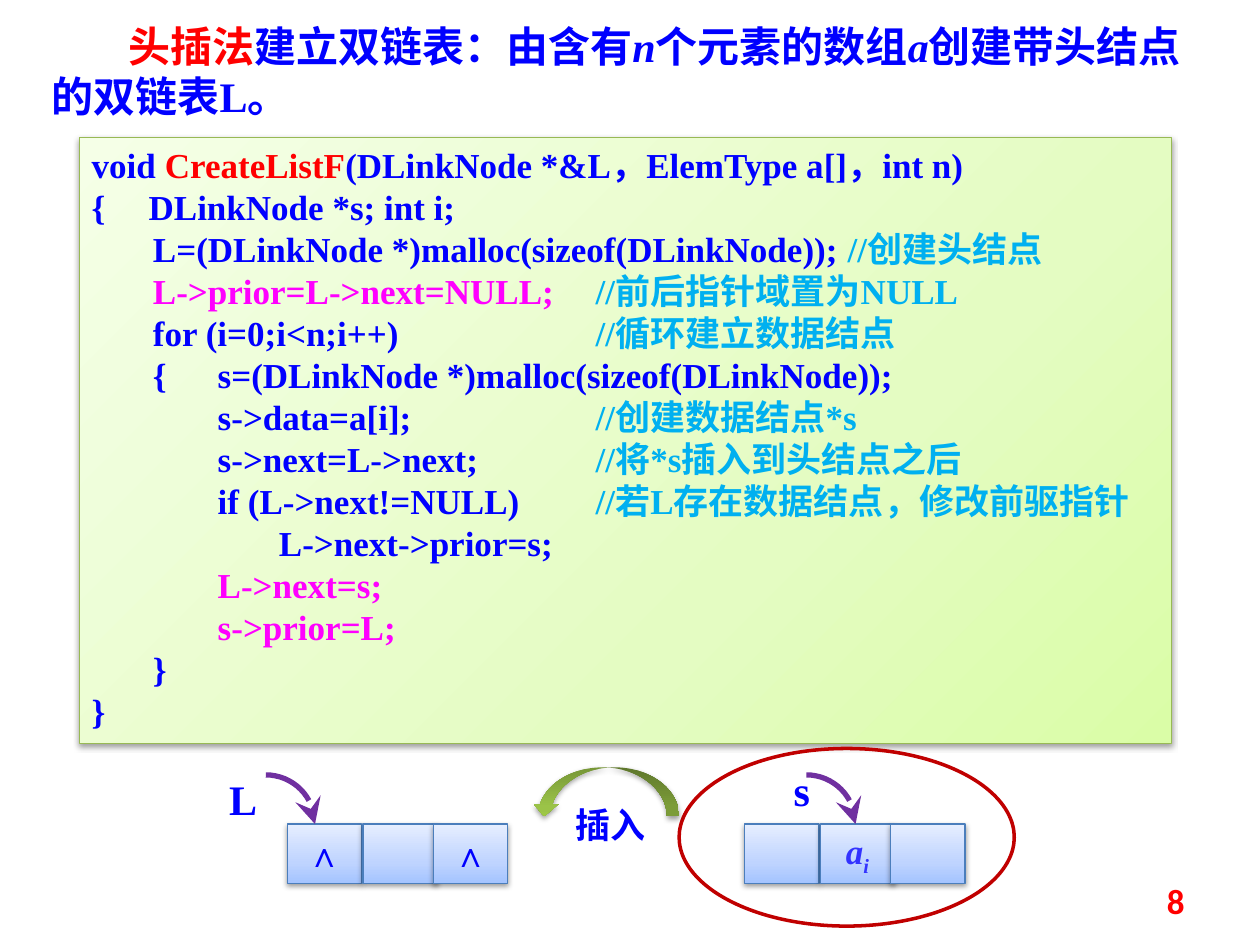
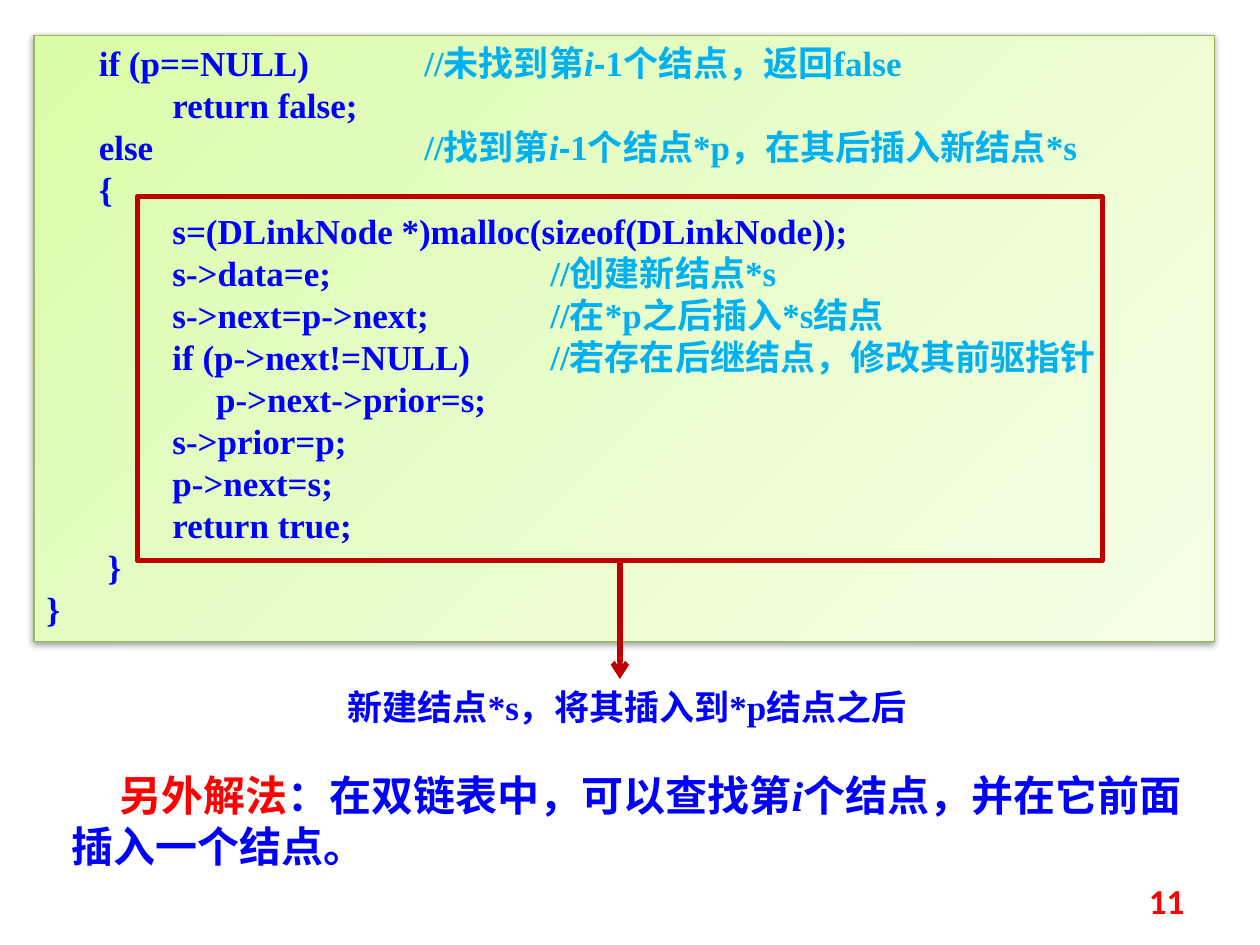
from math import cos, pi, sin

from lxml.etree import SubElement
from pptx import Presentation
from pptx.dml.color import RGBColor
from pptx.enum.shapes import MSO_CONNECTOR, MSO_SHAPE
from pptx.enum.text import MSO_ANCHOR, MSO_AUTO_SIZE, PP_ALIGN
from pptx.oxml import parse_xml
from pptx.oxml.ns import nsdecls, qn
from pptx.util import Inches, Pt

LATIN = "Times New Roman"
CHINESE = "Noto Sans CJK SC"
BLUE, RED, PINK, SKY = "0000FF", "FF0000", "FF00FF", "00B0F0"
CRIMSON, PURPLE, VIOLET = "C00000", "7030A0", "3333FF"

STYLES = {
    "code": {"color": BLUE},
    "variable": {"color": BLUE, "italic": True},
    "key": {"color": RED},
    "step": {"color": PINK},
    "note": {"color": SKY},
    "note variable": {"color": SKY, "italic": True},
    "note minus": {"color": SKY, "font": "Arial"},
    "label": {"color": BLUE, "font": CHINESE},
    "data": {"color": VIOLET, "italic": True},
    "index": {"color": VIOLET, "italic": True, "baseline": -25000},
    "number": {"color": RED, "font": "Calibri"},
}

GREEN_STOPS = [(0, "DAFDA7"), (35, "E4FCC2"), (100, "F5FFE7")]
CELL_STOPS = [(0, "A4C4FF"), (35, "BFD4FF"), (100, "E6EEFF")]
ARROW_STOPS = [(0, "779737"), (80, "9BC348"), (100, "9DC746")]

HEADING = [
    ("key", "头插法"), ("code", "建立双链表：由含有"), ("variable", "n"),
    ("code", "个元素的数组"), ("variable", "a"), ("code", "创建带头结点的双链表L。"),
]
CREATE_CODE = [
    [("code", "void "), ("key", "CreateListF"), ("code", "(DLinkNode *&L，ElemType a[]，int n)")],
    [("code", "{　 DLinkNode *s; int i;")],
    [("code", "       L=(DLinkNode *)malloc(sizeof(DLinkNode));\t"), ("note", "//创建头结点")],
    [("step", "       L->prior=L->next=NULL;\t"), ("note", "//前后指针域置为NULL")],
    [("code", "       for (i=0;i<n;i++)\t\t"), ("note", "//循环建立数据结点")],
    [("code", "       {\ts=(DLinkNode *)malloc(sizeof(DLinkNode));")],
    [("code", "\ts->data=a[i];\t\t"), ("note", "//创建数据结点*s")],
    [("code", "\ts->next=L->next;\t"), ("note", "//将*s插入到头结点之后")],
    [("code", "\tif (L->next!=NULL)\t"), ("note", "//若L存在数据结点，修改前驱指针")],
    [("code", "\t       L->next->prior=s;")],
    [("step", "\tL->next=s;")],
    [("step", "\ts->prior=L;")],
    [("code", "       }")],
    [("code", "}")],
]
INSERT_CODE = [
    [("code", "      if (p==NULL)\t"), ("note", "//未找到第"), ("note variable", "i"),
     ("note minus", "-"), ("note", "1个结点，返回false")],
    [("code", "\treturn false;")],
    [("code", "      else\t\t\t"), ("note", "//找到第"), ("note variable", "i"),
     ("note minus", "-"), ("note", "1个结点*p，在其后插入新结点*s")],
    [("code", "      {")],
    [("code", "\ts=(DLinkNode *)malloc(sizeof(DLinkNode));")],
    [("code", "\ts->data=e;\t\t"), ("note", "//创建新结点*s")],
    [("code", "\ts->next=p->next;\t"), ("note", "//在*p之后插入*s结点")],
    [("code", "\tif (p->next!=NULL)\t"), ("note", "//若存在后继结点，修改其前驱指针")],
    [("code", "\t     p->next->prior=s;")],
    [("code", "\ts->prior=p;")],
    [("code", "\tp->next=s;")],
    [("code", "\treturn true;")],
    [("code", "       }")],
    [("code", "}")],
]
EXPLANATION = [("code", "新建结点*s，将其插入到*p结点之后")]
ALTERNATIVE = [
    ("key", "另外解法"), ("code", "：在双链表中，可以查找第"), ("variable", "i"),
    ("code", "个结点，并在它前面插入一个结点。"),
]
NODES = [
    {"name": "L", "name_at": (1.72, 6.09), "pointer": 2.11, "left": 2.28,
     "cells": [[("code", "∧")], [], [("code", "∧")]]},
    {"name": "s", "name_at": (6.2, 6.02), "pointer": 6.4, "left": 5.91,
     "cells": [[], [("data", "a"), ("index", "i")], []]},
]
CELL_OFFSETS = (0, 0.6, 1.16)
CELL_TOP, CELL_WIDTH, CELL_HEIGHT = 6.54, 0.59, 0.47
POINTER_TOP, POINTER_RADIUS, POINTER_STEPS = 6.15, 0.39, 16
TAB_WIDTH = 1


def rgb(value):
    return RGBColor.from_string(value)


def inches(*values):
    return [Inches(value) for value in values]


def write(shape, lines, size=20, align=PP_ALIGN.LEFT, anchor=MSO_ANCHOR.TOP, wrap=True, indent=0):
    frame = shape.text_frame
    frame.word_wrap = wrap
    frame.auto_size = MSO_AUTO_SIZE.NONE
    frame.vertical_anchor = anchor
    for position, line in enumerate(lines):
        paragraph = frame.paragraphs[0] if position == 0 else frame.add_paragraph()
        paragraph.alignment = align
        layout = paragraph._p.get_or_add_pPr()
        layout.set("defTabSz", str(Inches(TAB_WIDTH)))
        layout.set("indent", str(Inches(indent)))
        for style_name, text in line:
            style = STYLES[style_name]
            run = paragraph.add_run()
            run.text = text
            run.font.size = Pt(size)
            run.font.bold = True
            run.font.italic = style.get("italic", False)
            run.font.color.rgb = rgb(style["color"])
            run.font.name = style.get("font", LATIN)
            properties = run._r.get_or_add_rPr()
            SubElement(properties, qn("a:ea")).set("typeface", CHINESE)
            if "baseline" in style:
                properties.set("baseline", str(style["baseline"]))


def add_text(slide, box, line, **text_format):
    write(slide.shapes.add_textbox(*inches(*box)), [line], **text_format)


def set_line(shape, color, width):
    shape.line.color.rgb = rgb(color)
    shape.line.width = Pt(width)


def add_arrowhead(shape, kind, size="med"):
    head = SubElement(shape.line._get_or_add_ln(), qn("a:tailEnd"))
    head.set("type", kind)
    head.set("w", size)
    head.set("len", size)


def add_outline(slide, kind, box, width):
    shape = slide.shapes.add_shape(kind, *inches(*box))
    shape.shadow.inherit = False
    shape.fill.background()
    set_line(shape, CRIMSON, width)


def add_gradient_shape(slide, kind, box, stops, angle=None, line=None):
    shape = slide.shapes.add_shape(kind, *inches(*box))
    if line:
        set_line(shape, line, 0.75)
    else:
        shape.line.fill.background()
    stop_xml = "".join(
        f'<a:gs pos="{place * 1000}"><a:srgbClr val="{color}"/></a:gs>' for place, color in stops
    )
    if angle is None:
        direction = '<a:path path="circle"><a:fillToRect l="100000" t="100000"/></a:path>'
    else:
        direction = f'<a:lin ang="{angle * 60000}" scaled="0"/>'
    properties = shape._element.spPr
    properties.find(qn("a:prstGeom")).addnext(parse_xml(
        f'<a:gradFill {nsdecls("a")} rotWithShape="1"><a:gsLst>{stop_xml}</a:gsLst>'
        f'{direction}</a:gradFill>'
    ))
    shape.shadow.inherit = False
    properties.find(qn("a:effectLst")).append(parse_xml(
        f'<a:outerShdw {nsdecls("a")} blurRad="{Pt(3.1)}" dist="{Pt(1.6)}" dir="5400000" '
        'rotWithShape="0"><a:srgbClr val="000000"><a:alpha val="38000"/></a:srgbClr></a:outerShdw>'
    ))
    return shape


def add_code_box(slide, box, lines, angle=None):
    shape = add_gradient_shape(slide, MSO_SHAPE.RECTANGLE, box, GREEN_STOPS, angle, "98B955")
    write(shape, lines)


def add_pointer(slide, left):
    angles = [pi / 2 * step / POINTER_STEPS for step in range(POINTER_STEPS + 1)]
    points = [
        inches(left + POINTER_RADIUS * sin(angle), POINTER_TOP + POINTER_RADIUS * (1 - cos(angle)))
        for angle in angles
    ]
    builder = slide.shapes.build_freeform(*points[0])
    builder.add_line_segments(points[1:], close=False)
    pointer = builder.convert_to_shape()
    pointer.shadow.inherit = False
    pointer.fill.background()
    set_line(pointer, PURPLE, 3)
    add_arrowhead(pointer, "stealth", "lg")


def add_node(slide, node):
    for offset, content in zip(CELL_OFFSETS, node["cells"]):
        box = (node["left"] + offset, CELL_TOP, CELL_WIDTH, CELL_HEIGHT)
        cell = add_gradient_shape(slide, MSO_SHAPE.RECTANGLE, box, CELL_STOPS, 270, "4B7EBC")
        if content:
            write(cell, [content], align=PP_ALIGN.CENTER, anchor=MSO_ANCHOR.MIDDLE, wrap=False)
    add_pointer(slide, node["pointer"])
    add_text(slide, (*node["name_at"], 0.47, 0.5), [("code", node["name"])], size=24)


def add_slide_number(slide, number):
    add_text(slide, (7.17, 6.95, 2.33, 0.4), [("number", number)],
             align=PP_ALIGN.RIGHT, anchor=MSO_ANCHOR.MIDDLE)


def build_create_slide(presentation):
    slide = presentation.slides.add_slide(presentation.slide_layouts[5])
    title = slide.shapes.title
    title.left, title.top, title.width, title.height = inches(0.31, 0.11, 9.22, 0.91)
    write(title, [HEADING], size=24, indent=0.61)
    add_code_box(slide, (0.63, 1.09, 8.67, 4.81), CREATE_CODE)
    for node in NODES:
        add_node(slide, node)
    add_outline(slide, MSO_SHAPE.OVAL, (5.39, 5.94, 2.66, 1.41), 2)
    arrow = add_gradient_shape(slide, MSO_SHAPE.CURVED_UP_ARROW, (4.22, 6.09, 1.17, 0.39),
                               ARROW_STOPS, 270)
    arrow.rotation = 180
    add_text(slide, (4.3, 6.33, 1.09, 0.44), [("label", "插入")], align=PP_ALIGN.CENTER)
    add_slide_number(slide, "8")


def build_insert_slide(presentation):
    slide = presentation.slides.add_slide(presentation.slide_layouts[6])
    add_code_box(slide, (0.27, 0.28, 9.37, 4.81), INSERT_CODE, 45)
    add_text(slide, (2.66, 5.39, 5, 0.44), EXPLANATION)
    add_outline(slide, MSO_SHAPE.RECTANGLE, (1.09, 1.56, 7.66, 2.89), 3)
    connector = slide.shapes.add_connector(MSO_CONNECTOR.STRAIGHT, *inches(4.92, 4.45, 4.92, 5.39))
    set_line(connector, CRIMSON, 3)
    add_arrowhead(connector, "arrow")
    SubElement(connector._element.spPr, qn("a:effectLst"))
    add_text(slide, (0.47, 6.06, 9.22, 0.91), ALTERNATIVE, size=24, indent=0.38)
    add_slide_number(slide, "11")


def main():
    presentation = Presentation()
    presentation.slide_width, presentation.slide_height = inches(10, 7.5)
    build_create_slide(presentation)
    build_insert_slide(presentation)
    presentation.save("out.pptx")


if __name__ == "__main__":
    main()
